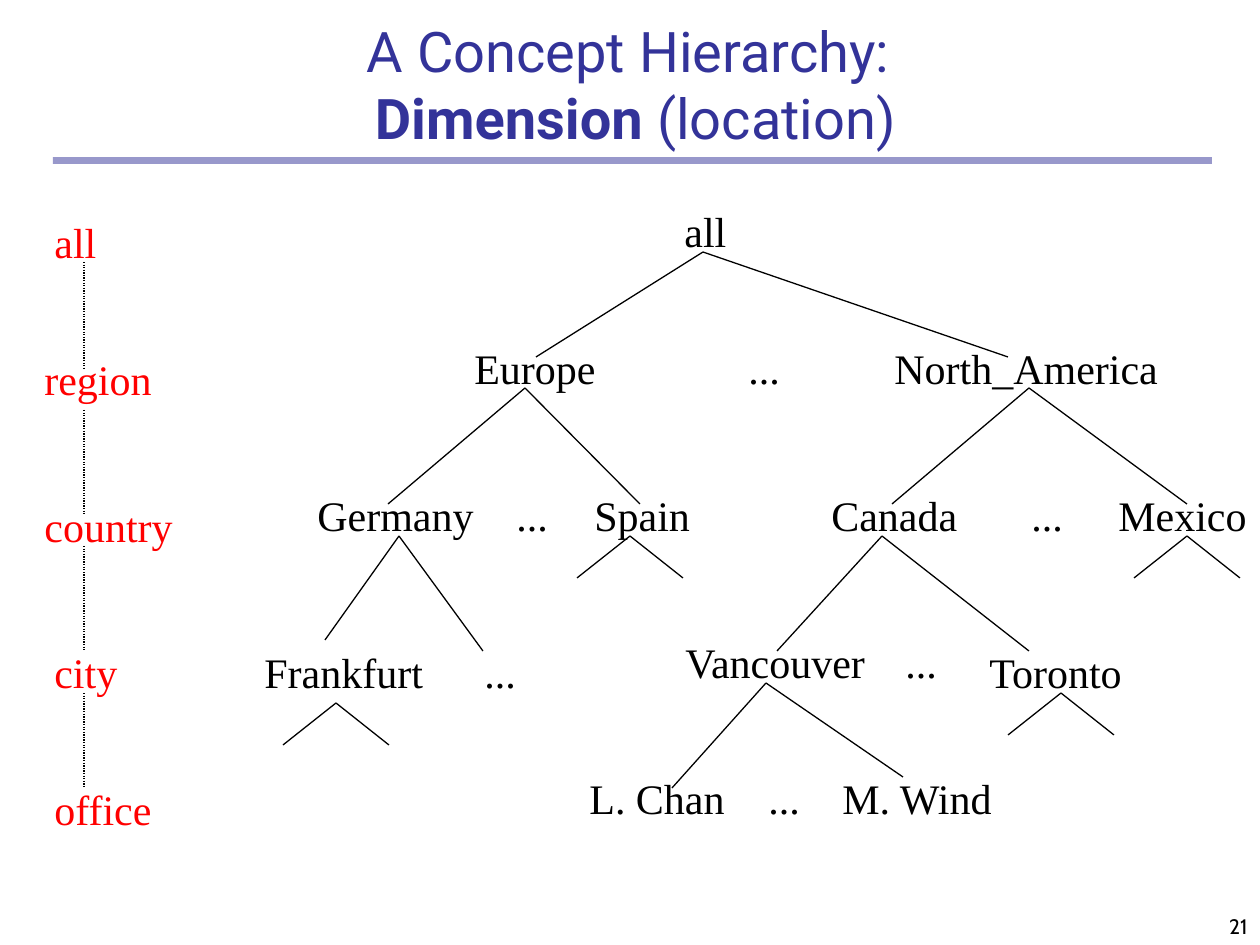
from dataclasses import dataclass

from pptx import Presentation
from pptx.dml.color import RGBColor
from pptx.enum.dml import MSO_LINE
from pptx.enum.shapes import MSO_CONNECTOR, MSO_SHAPE
from pptx.enum.text import MSO_ANCHOR, MSO_AUTO_SIZE, PP_ALIGN
from pptx.oxml.ns import qn
from pptx.util import Pt
from lxml import etree

STRAIGHT = MSO_CONNECTOR.STRAIGHT
RECTANGLE = MSO_SHAPE.RECTANGLE
DOTTED = MSO_LINE.ROUND_DOT
BOTTOM = MSO_ANCHOR.BOTTOM
TOP = MSO_ANCHOR.TOP
LEFT, CENTER, RIGHT = PP_ALIGN.LEFT, PP_ALIGN.CENTER, PP_ALIGN.RIGHT
GROW = MSO_AUTO_SIZE.SHAPE_TO_FIT_TEXT
FIXED = MSO_AUTO_SIZE.NONE

EMU_PER_PX = 914400 / 126
LABEL_HEIGHT = 63
DOTS_WIDTH = 59
LEVEL_AXIS = 84
TWIG_REACH, TWIG_DROP = 53, 42


@dataclass(frozen=True)
class Theme:
    title_color: RGBColor = RGBColor(0x33, 0x33, 0x99)
    node_color: RGBColor = RGBColor(0, 0, 0)
    level_color: RGBColor = RGBColor(0xFF, 0, 0)
    title_font: str = "Roboto"
    label_font: str = "Times New Roman"
    number_font: str = "Cabin"
    title_size: int = 32
    label_size: int = 24
    number_size: int = 12
    line_width: float = 0.75
    rule_opacity: int = 50


THEME = Theme()

LEVELS = [
    ("all", 42, 210, 70),
    ("region", 32, 347, 135),
    ("country", 32, 494, 157),
    ("city", 42, 640, 91),
    ("office", 42, 777, 125),
]
LEVEL_LINKS = [(262, 368), (410, 514), (546, 651), (693, 788)]

NODES = [
    ("all", 672, 199, 70),
    ("Europe", 462, 336, 149),
    ("North_America", 882, 336, 292),
    ("Germany", 305, 483, 184),
    ("Spain", 582, 483, 124),
    ("Canada", 819, 483, 154),
    ("Mexico", 1106, 483, 154),
    ("Frankfurt", 252, 640, 187),
    ("Vancouver", 673, 630, 212),
    ("Toronto", 977, 640, 163),
    ("L. Chan", 577, 766, 163),
    ("M. Wind", 830, 766, 179),
]
DOTS = [(736, 336), (504, 483), (1019, 483), (472, 640), (893, 630), (756, 766)]

BRANCHES = [
    ((703, 252), [(536, 357), (1008, 357)]),
    ((525, 388), [(388, 504), (640, 504)]),
    ((1029, 388), [(892, 504), (1187, 504)]),
    ((399, 536), [(325, 640), (483, 651)]),
    ((882, 536), [(777, 651), (1029, 651)]),
    ((766, 683), [(672, 788), (903, 777)]),
]
TWIGS = [(630, 536), (1187, 536), (336, 703), (1061, 693)]


def px(length):
    return round(length * EMU_PER_PX)


def format_run(span, font, size, color, bold=False):
    span.font.name = font
    span.font.size = Pt(size)
    span.font.color.rgb = color
    span.font.bold = bold


def add_box(page, left, top, width, height, align=LEFT, anchor=TOP, wrap=True):
    box = page.shapes.add_textbox(px(left), px(top), px(width), px(height))
    frame = box.text_frame
    frame.word_wrap = wrap
    frame.auto_size = FIXED if wrap else GROW
    frame.vertical_anchor = anchor
    frame.paragraphs[0].alignment = align
    return frame


def add_label(page, text, left, top, width, color):
    frame = add_box(page, left, top, width, LABEL_HEIGHT, wrap=False)
    frame.margin_right = px(10)
    para = frame.paragraphs[0]
    para.text = text
    format_run(para.runs[0], THEME.label_font, THEME.label_size, color)


def add_line(page, start, end, dash=None):
    line = page.shapes.add_connector(STRAIGHT, *map(px, start + end))
    line.line.color.rgb = THEME.node_color
    line.line.width = Pt(THEME.line_width)
    if dash:
        line.line.dash_style = dash
    etree.SubElement(line._element.spPr, qn("a:effectLst"))


def add_fork(page, apex, ends):
    for end in ends:
        add_line(page, apex, end)


def add_title(page):
    frame = add_box(page, 84, 73, 1103, 84, CENTER, BOTTOM)
    frame.margin_bottom = px(6)
    para = frame.paragraphs[0]
    para.text = "A Concept Hierarchy: \v"
    for text in ("Dimension", " (location)"):
        para.add_run().text = text
    for span in para.runs:
        format_run(span, THEME.title_font, THEME.title_size, THEME.title_color,
                   bold=span.text == "Dimension")


def add_title_rule(page):
    rule = page.shapes.add_shape(RECTANGLE, px(53), px(157), px(1159), px(7))
    rule.shadow.inherit = False
    rule.line.fill.background()
    rule.fill.solid()
    rule.fill.fore_color.rgb = THEME.title_color
    color = rule._element.spPr.find(qn("a:solidFill"))[0]
    etree.SubElement(color, qn("a:alpha"), val=str(THEME.rule_opacity * 1000))


def add_page_number(page, number):
    frame = add_box(page, 998, 882, 262, 63, RIGHT, BOTTOM)
    para = frame.paragraphs[0]
    para.text = number
    format_run(para.runs[0], THEME.number_font, THEME.number_size, THEME.node_color)


def add_levels(page):
    for text, left, top, width in LEVELS:
        add_label(page, text, left, top, width, THEME.level_color)
    for top, bottom in LEVEL_LINKS:
        add_line(page, (LEVEL_AXIS, top), (LEVEL_AXIS, bottom), DOTTED)


def add_tree(page):
    for text, left, top, width in NODES:
        add_label(page, text, left, top, width, THEME.node_color)
    for left, top in DOTS:
        add_label(page, "...", left, top, DOTS_WIDTH, THEME.node_color)
    for apex, ends in BRANCHES:
        add_fork(page, apex, ends)
    for x, y in TWIGS:
        add_fork(page, (x, y), [(x + side * TWIG_REACH, y + TWIG_DROP) for side in (-1, 1)])


def main():
    deck = Presentation()
    deck.slide_width, deck.slide_height = px(1260), px(945)
    page = deck.slides.add_slide(deck.slide_layouts[6])
    add_title_rule(page)
    add_page_number(page, "21")
    add_title(page)
    add_tree(page)
    add_levels(page)
    deck.save("out.pptx")


if __name__ == "__main__":
    main()
